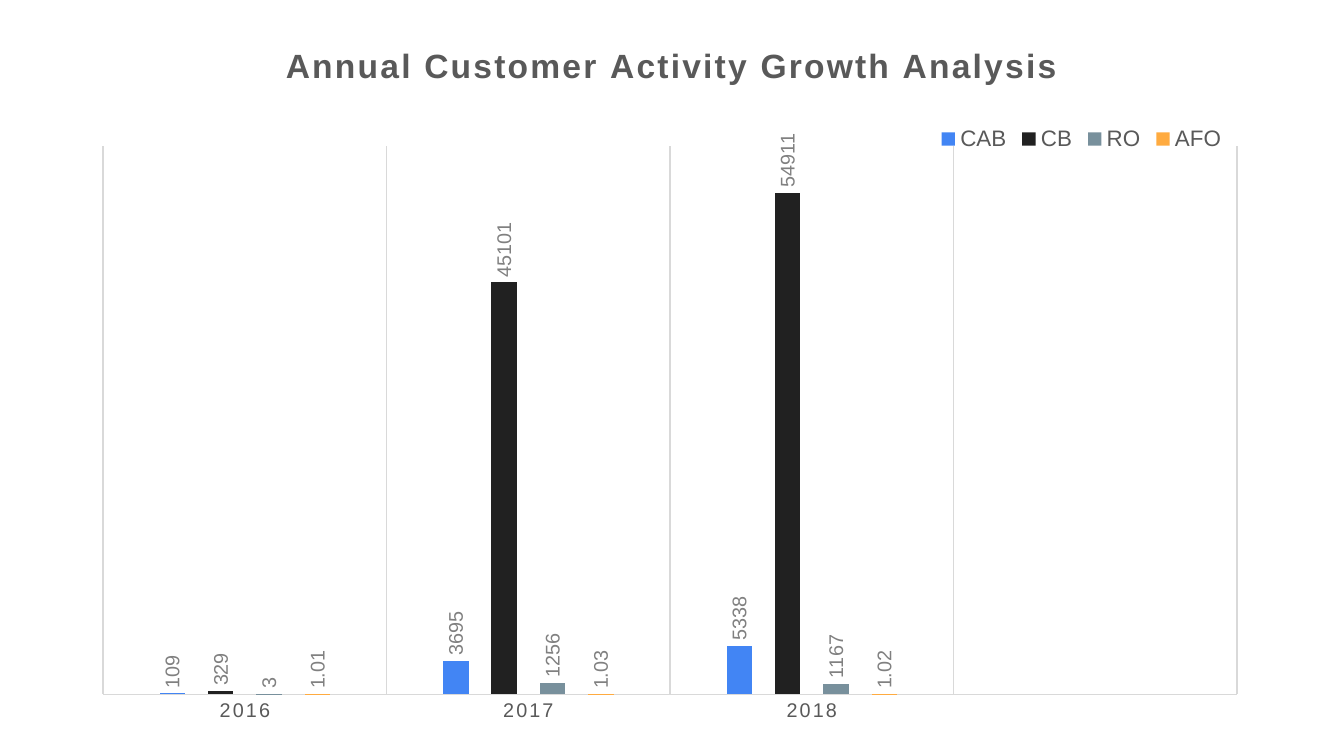
from dataclasses import dataclass

from lxml import etree
from pptx import Presentation
from pptx.chart.data import CategoryChartData
from pptx.dml.color import RGBColor
from pptx.enum.chart import XL_CHART_TYPE, XL_LABEL_POSITION, XL_LEGEND_POSITION, XL_TICK_MARK
from pptx.oxml.ns import qn
from pptx.util import Inches, Pt

COLUMN = XL_CHART_TYPE.COLUMN_CLUSTERED
OUT_END = XL_LABEL_POSITION.OUTSIDE_END
TOP = XL_LEGEND_POSITION.TOP
NO_TICK = XL_TICK_MARK.NONE

BLUE = RGBColor(0x42, 0x85, 0xF4)
BLACK = RGBColor(0x21, 0x21, 0x21)
SLATE = RGBColor(0x78, 0x90, 0x9C)
AMBER = RGBColor(0xFF, 0xAB, 0x40)
TEXT = RGBColor(0x59, 0x59, 0x59)
LABEL = RGBColor(0x80, 0x80, 0x80)
GRID = RGBColor(0xD9, 0xD9, 0xD9)
FONT = "Arial"
TITLE = "Annual Customer Activity Growth Analysis"
YEARS = ("2016", "2017", "2018", "")


@dataclass
class Metric:
    name: str
    color: RGBColor
    values: tuple


METRICS = (
    Metric("CAB", BLUE, (109, 3695, 5338, None)),
    Metric("CB", BLACK, (329, 45101, 54911, None)),
    Metric("RO", SLATE, (3, 1256, 1167, None)),
    Metric("AFO", AMBER, (1.01, 1.03, 1.02, None)),
)


def style(font, size: float, color: RGBColor, bold: bool = False) -> None:
    font.name = FONT
    font.size = Pt(size)
    font.bold = bold
    font.color.rgb = color


def place(parent, index: int, **spots) -> None:
    for old in parent.findall(qn("c:layout")):
        parent.remove(old)
    layout = etree.Element(qn("c:layout"))
    manual = etree.SubElement(layout, qn("c:manualLayout"))
    for tag, value in spots.items():
        etree.SubElement(manual, qn(f"c:{tag}")).set("val", str(value))
    parent.insert(index, layout)


def space(props) -> None:
    props.set("spc", "120")


def draw_line(line) -> None:
    line.color.rgb = GRID
    line.width = Pt(0.75)


def draw_title(chart) -> None:
    chart.has_title = True
    run = chart.chart_title.text_frame.paragraphs[0].add_run()
    run.text = TITLE
    style(run.font, 18, TEXT, True)
    space(run._r.get_or_add_rPr())
    place(chart.chart_title._element, 1, xMode="edge", yMode="edge", x=0.183, y=0.03)


def draw_axes(chart) -> None:
    years = chart.category_axis
    years.major_tick_mark = years.minor_tick_mark = NO_TICK
    years.has_major_gridlines = True
    style(years.tick_labels.font, 10.6, TEXT)
    space(years._element.find(".//" + qn("a:defRPr")))
    draw_line(years.format.line)
    draw_line(years.major_gridlines.format.line)
    scale = chart.value_axis
    scale.minimum_scale = 0
    scale.maximum_scale = 60000
    scale.has_major_gridlines = False
    scale.visible = False


def draw_bars(series, metric: Metric) -> None:
    series.format.fill.solid()
    series.format.fill.fore_color.rgb = metric.color
    series.invert_if_negative = False
    labels = series.data_labels
    labels.show_value = True
    labels.position = OUT_END
    style(labels.font, 10.6, LABEL)
    body = labels._element.find(".//" + qn("a:bodyPr"))
    body.set("rot", "-5400000")
    body.set("vert", "horz")


def draw_legend(chart) -> None:
    chart.has_legend = True
    legend = chart.legend
    legend.position = TOP
    legend.include_in_layout = False
    style(legend.font, 12, TEXT)
    place(legend._element, 1, xMode="edge", yMode="edge", x=0.712, y=0.136, w=0.24, h=0.06)


def draw_chart(slide) -> None:
    data = CategoryChartData()
    data.categories = YEARS
    for metric in METRICS:
        data.add_series(metric.name, metric.values)
    frame = slide.shapes.add_chart(
        COLUMN, Inches(0.4), Inches(0.11), Inches(9.19), Inches(5.57), data
    )
    chart = frame.chart
    style(chart.font, 10, TEXT)
    draw_title(chart)
    draw_axes(chart)
    draw_legend(chart)
    plot = chart.plots[0]
    plot.vary_by_categories = False
    plot.gap_width = 444
    plot.overlap = -90
    for series, metric in zip(plot.series, METRICS):
        draw_bars(series, metric)
    area = chart._chartSpace.find(".//" + qn("c:plotArea"))
    place(area, 0, layoutTarget="inner", xMode="edge", yMode="edge",
          x=0.04, y=0.176, w=0.918, h=0.732)


def main() -> None:
    deck = Presentation()
    deck.slide_width = Inches(10)
    deck.slide_height = Inches(5.625)
    draw_chart(deck.slides.add_slide(deck.slide_layouts[6]))
    deck.save("out.pptx")


if __name__ == "__main__":
    main()
